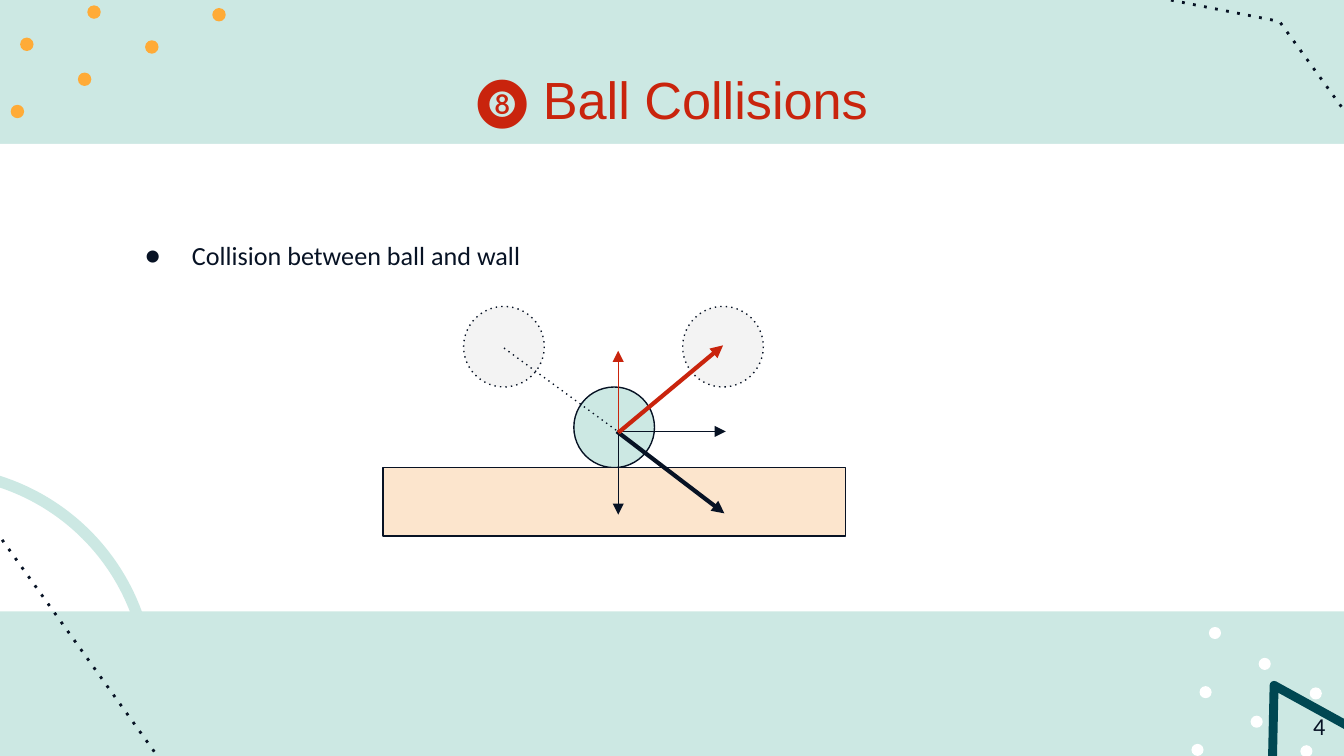
"""Build the slide on collisions between a ball and a wall."""
from lxml.etree import SubElement
from pptx import Presentation
from pptx.dml.color import RGBColor
from pptx.enum.dml import MSO_LINE
from pptx.enum.shapes import MSO_CONNECTOR, MSO_SHAPE
from pptx.enum.text import MSO_ANCHOR, PP_ALIGN
from pptx.oxml.ns import qn
from pptx.util import Inches, Pt

COLORS = {"mint": "CCE8E3", "white": "FFFFFF", "ink": "071224", "orange": "FFAB37",
          "teal": "004752", "red": "C9240D", "grey": "F3F3F3", "sand": "FCE5CD"}

TEXTS = [
    {"text": "🎱 Ball Collisions", "box": (0.83, 0.42, 8.34, 0.63), "color": "red",
     "font": {"name": "Arial", "size": Pt(28)},
     "frame": {"vertical_anchor": MSO_ANCHOR.MIDDLE},
     "para": {"alignment": PP_ALIGN.CENTER}},
    {"text": "4", "box": (9.36, 5.19, 0.6, 0.43), "color": "ink",
     "font": {"name": "Calibri", "size": Pt(13)},
     "para": {"alignment": PP_ALIGN.RIGHT}},
    {"text": "Collision between ball and wall", "box": (0.83, 1.45, 8.34, 0.75),
     "color": "ink", "font": {"name": "Calibri", "size": Pt(14)},
     "para": {"line_spacing": 2.0}, "bullet": "●"},
]

DOT_GRIDS = [
    {"color": "orange", "size": 0.1, "step": (-0.5, 0.24),
     "rows": [(1.63, 0.11, 4), (0.7, 0.09, 2)]},
    {"color": "white", "size": 0.09, "step": (-0.44, 0.21),
     "rows": [(9.72, 5.59, 1), (9.79, 5.16, 3), (9.41, 4.94, 2), (9.04, 4.71, 1)]},
]

DOTTED_PATHS = [[(1.44, 6), (-0.09, 3.87), (-1.83, 3.53)],
                [(11.06, 2.28), (9.52, 0.16), (7.79, -0.18)]]
TRIANGLE = [(9.48, 5.1), (10.66, 5.75), (9.45, 6.46)]

BALL_SIZE = 0.6
BALLS = [(4.57, 3.18, "mint", False), (3.75, 2.58, "grey", True), (5.38, 2.58, "grey", True)]
WALL = (2.85, 3.48, 3.44, 0.51)

ARROWS = [
    ((4.59, 3.21), (5.39, 3.82), "ink", 2.25),
    ((4.6, 3.21), (5.4, 3.21), "ink", 0.75),
    ((4.6, 3.21), (4.6, 3.83), "ink", 0.75),
    ((4.6, 3.22), (4.6, 2.61), "red", 0.75),
    ((4.6, 3.22), (5.38, 2.57), "red", 2.25),
]
PAST_PATH = ((3.75, 2.59), (4.61, 3.22), "ink", 0.75)


def rgb(name):
    return RGBColor.from_string(COLORS[name])


def paint(fill, color):
    if color:
        fill.solid()
        fill.fore_color.rgb = rgb(color)
    else:
        fill.background()


def stroke(sp, color, width, dotted=False):
    paint(sp.line.fill, color)
    if color:
        sp.line.width = Pt(width)
    if dotted:
        sp.line.dash_style = MSO_LINE.ROUND_DOT
        sp._element.spPr.find(qn("a:ln")).find(qn("a:prstDash")).set("val", "dot")


def finish(sp, fill=None, color=None, width=0.75, dotted=False):
    sp.shadow.inherit = False
    paint(sp.fill, fill)
    stroke(sp, color, width, dotted)


def add_shape(s, kind, box, **style):
    finish(s.shapes.add_shape(kind, *map(Inches, box)), **style)


def add_circle(s, x, y, size, **style):
    add_shape(s, MSO_SHAPE.OVAL, (x - size / 2, y - size / 2, size, size), **style)


def add_outline(s, points, close, **style):
    pts = [(Inches(x), Inches(y)) for x, y in points]
    builder = s.shapes.build_freeform(*pts[0])
    builder.add_line_segments(pts[1:], close=close)
    finish(builder.convert_to_shape(), **style)


def add_line(s, start, end, color, width, dotted=False, arrow=False):
    sp = s.shapes.add_connector(MSO_CONNECTOR.STRAIGHT, *map(Inches, start + end))
    stroke(sp, color, width, dotted)
    spPr = sp._element.spPr
    if arrow:
        SubElement(spPr.find(qn("a:ln")), qn("a:tailEnd"), type="triangle")
    SubElement(spPr, qn("a:effectLst"))


def add_bullet(p, char, color, font):
    pPr = p._p.get_or_add_pPr()
    pPr.set("marL", str(Inches(0.5)))
    pPr.set("indent", str(Inches(-0.35)))
    SubElement(SubElement(pPr, qn("a:buClr")), qn("a:srgbClr"), val=COLORS[color])
    SubElement(pPr, qn("a:buFont"), typeface=font)
    SubElement(pPr, qn("a:buChar"), char=char)


def add_text(s, item):
    tf = s.shapes.add_textbox(*map(Inches, item["box"])).text_frame
    inset = {f"margin_{side}": Inches(0.1) for side in ("left", "top", "right", "bottom")}
    p = tf.paragraphs[0]
    if "bullet" in item:
        add_bullet(p, item["bullet"], item["color"], item["font"]["name"])
    r = p.add_run()
    r.text = item["text"]
    r.font.color.rgb = rgb(item["color"])
    formats = [(tf, {"word_wrap": True, **inset, **item.get("frame", {})}),
               (p, item["para"]), (r.font, item["font"])]
    for target, values in formats:
        for name, value in values.items():
            setattr(target, name, value)


def main():
    prs = Presentation()
    prs.slide_width = Inches(10)
    prs.slide_height = prs.slide_width * 9 // 16
    s = prs.slides.add_slide(prs.slide_layouts[6])
    paint(s.background.fill, "mint")

    add_shape(s, MSO_SHAPE.RECTANGLE, (0, 1.07, 10, 3.48), fill="white")
    add_circle(s, -0.5, 5.12, 3.23, color="mint", width=6)
    for points in DOTTED_PATHS:
        add_outline(s, points, False, color="ink", width=1.5, dotted=True)
    add_outline(s, TRIANGLE, True, color="teal", width=4.75)
    for grid in DOT_GRIDS:
        dx, dy = grid["step"]
        for x, y, count in grid["rows"]:
            for i in range(count):
                add_circle(s, x + i * dx, y + i * dy, grid["size"], fill=grid["color"])

    for item in TEXTS:
        add_text(s, item)

    for x, y, fill, dotted in BALLS:
        add_circle(s, x, y, BALL_SIZE, fill=fill, color="ink", dotted=dotted)
    add_shape(s, MSO_SHAPE.RECTANGLE, WALL, fill="sand", color="ink")
    for arrow in ARROWS:
        add_line(s, *arrow, arrow=True)
    add_line(s, *PAST_PATH, dotted=True)

    prs.save("out.pptx")


if __name__ == "__main__":
    main()
